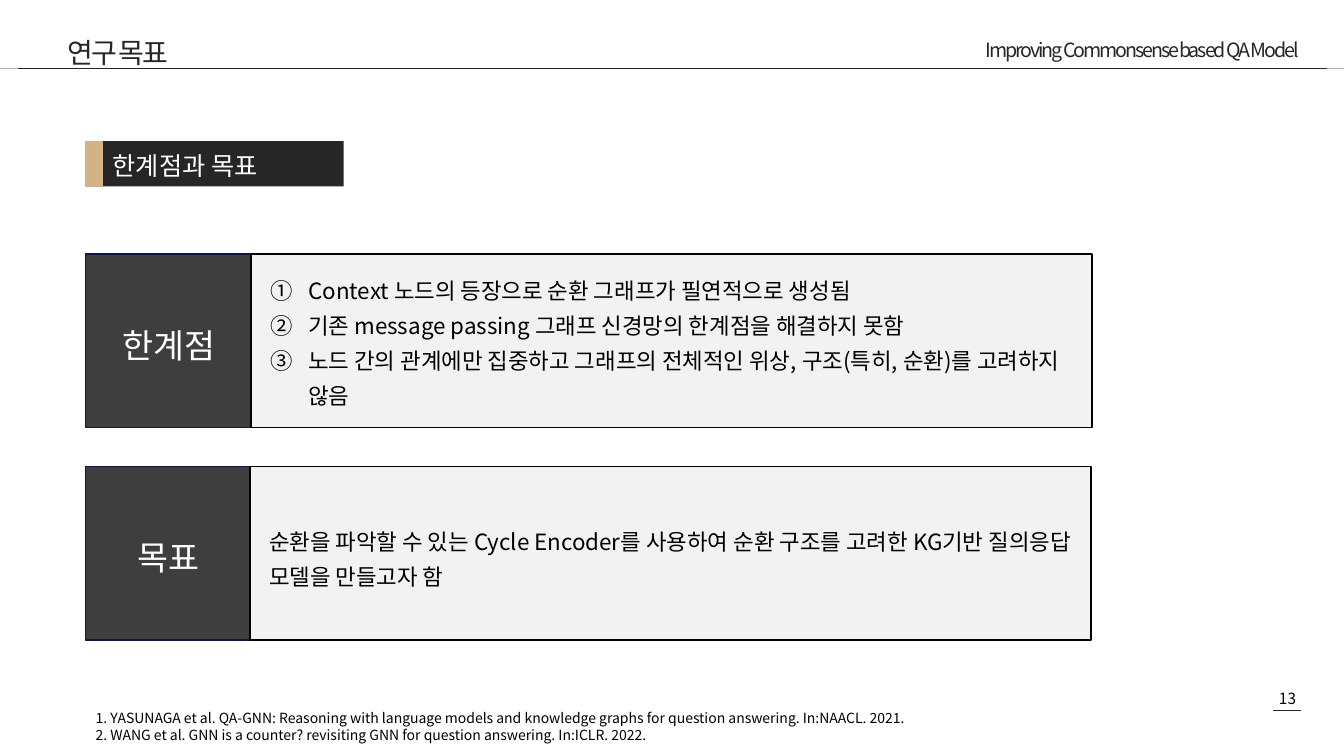
from lxml.etree import SubElement
from pptx import Presentation
from pptx.dml.color import RGBColor
from pptx.enum.shapes import MSO_CONNECTOR, MSO_SHAPE
from pptx.enum.text import MSO_ANCHOR as Anchor, PP_ALIGN as Align
from pptx.oxml.ns import qn
from pptx.util import Inches, Pt

FONT = "Noto Sans CJK KR"
COLORS = {
    "ink": "262626", "black": "000000", "white": "FFFFFF", "tan": "D5B186",
    "label": "3E3E3E", "navy": "0F1642", "panel": "F2F2F2",
}

deck = Presentation()
deck.slide_width, deck.slide_height = Inches(13.33), Inches(7.5)
slide = deck.slides.add_slide(deck.slide_layouts[6])


def add_box(left, top, width, height, fill, outline=None):
    box = slide.shapes.add_shape(MSO_SHAPE.RECTANGLE, Inches(left), Inches(top),
                                 Inches(width), Inches(height))
    box.shadow.inherit = False
    box.fill.solid()
    box.fill.fore_color.rgb = RGBColor.from_string(COLORS[fill])
    if outline:
        box.line.color.rgb = RGBColor.from_string(COLORS[outline])
        box.line.width = Pt(1)
    else:
        box.line.fill.background()
    return box


def write(place, lines, size, color, align=Align.LEFT, anchor=Anchor.TOP,
          spacing=None, tracking=None, indent=0, numbered=False, wrap=True):
    """Write lines into a new text box at place, or into an existing shape."""
    if isinstance(place, tuple):
        place = slide.shapes.add_textbox(*[Inches(length) for length in place])
    frame = place.text_frame
    frame.word_wrap = wrap
    frame.vertical_anchor = anchor
    for number, line in enumerate(lines):
        paragraph = frame.add_paragraph() if number else frame.paragraphs[0]
        paragraph.alignment = align
        if spacing:
            paragraph.line_spacing = spacing
        props = paragraph._p.get_or_add_pPr()
        if indent:
            props.set("marL", str(Inches(indent)))
        if numbered:
            props.set("indent", str(Inches(-0.38)))
            SubElement(props, qn("a:buFont"), typeface=FONT)
            SubElement(props, qn("a:buAutoNum"), type="circleNumDbPlain")
        run = paragraph.add_run()
        run.text = line
        run.font.size = Pt(size)
        run.font.color.rgb = RGBColor.from_string(COLORS[color])
        run.font.name = FONT
        run_props = run._r.get_or_add_rPr()
        SubElement(run_props, qn("a:ea"), typeface=FONT)
        if tracking:
            run_props.set("spc", str(int(tracking * 100)))
    return frame


# Header and page number
write((12.43, 6.79, 0.68, 0.29), ["13"], 11, "black", Align.CENTER)
running_title = write((7.23, 0.36, 5.75, 0.57), ["Improving Commonsense based QA Model"],
                      14, "ink", Align.RIGHT, tracking=-1.5)
running_title.margin_top = Inches(0.02)
add_box(0, 0.68, 13.33, 0, "ink")
for start, end, level in [(0.18, 13.16, 0.68), (12.63, 12.9, 7.05)]:
    rule = slide.shapes.add_connector(MSO_CONNECTOR.STRAIGHT, Inches(start), Inches(level),
                                      Inches(end), Inches(level))
    rule.line.color.rgb = RGBColor.from_string(COLORS["ink"])
    rule.line.width = Pt(0.5)
    SubElement(rule._element.spPr, qn("a:effectLst"))
write((0.57, 0.13, 6.1, 0.68), ["연구 목표"], 20, "ink",
      anchor=Anchor.MIDDLE, spacing=1.3, tracking=-1.5)

# Section heading
add_box(0.85, 1.4, 2.56, 0.45, "ink")
add_box(0.85, 1.4, 0.17, 0.45, "tan")
write((1.02, 1.44, 2.39, 0.4), ["한계점과 목표"], 18, "white")

# Limitations and goal panels
limitations = [
    "Context 노드의 등장으로 순환 그래프가 필연적으로 생성됨",
    "기존 message passing 그래프 신경망의 한계점을 해결하지 못함",
    "노드 간의 관계에만 집중하고 그래프의 전체적인 위상, 구조(특히, 순환)를 고려하지 않음",
]
goal = ["순환을 파악할 수 있는 Cycle Encoder를 사용하여 순환 구조를 고려한 KG기반 "
        "질의응답 모델을 만들고자 함"]
panels = [
    ("한계점", limitations, 2.52, 2.49, 2.62, 1.46, 0.47, True),
    ("목표", goal, 4.63, 2.48, 5.11, 0.76, 0.09, False),
]
for label, lines, top, left, text_top, text_height, indent, numbered in panels:
    label_box = add_box(0.85, top, 1.65, 1.72, "label", "navy")
    write(label_box, [label], 24, "white", Align.CENTER, Anchor.MIDDLE, spacing=1.2)
    add_box(left, top, 8.34, 1.72, "panel", "black")
    write((left, text_top, 8.34, text_height), lines, 16, "black",
          spacing=1.3, indent=indent, numbered=numbered)

# References
references = [
    "1. YASUNAGA et al. QA-GNN: Reasoning with language models and knowledge graphs "
    "for question answering. In:NAACL. 2021.",
    "2. WANG et al. GNN is a counter? revisiting GNN for question answering. In:ICLR. 2022.",
]
write((0.85, 6.99, 8.55, 0.5), references, 10, "black", wrap=False)

deck.save("out.pptx")
